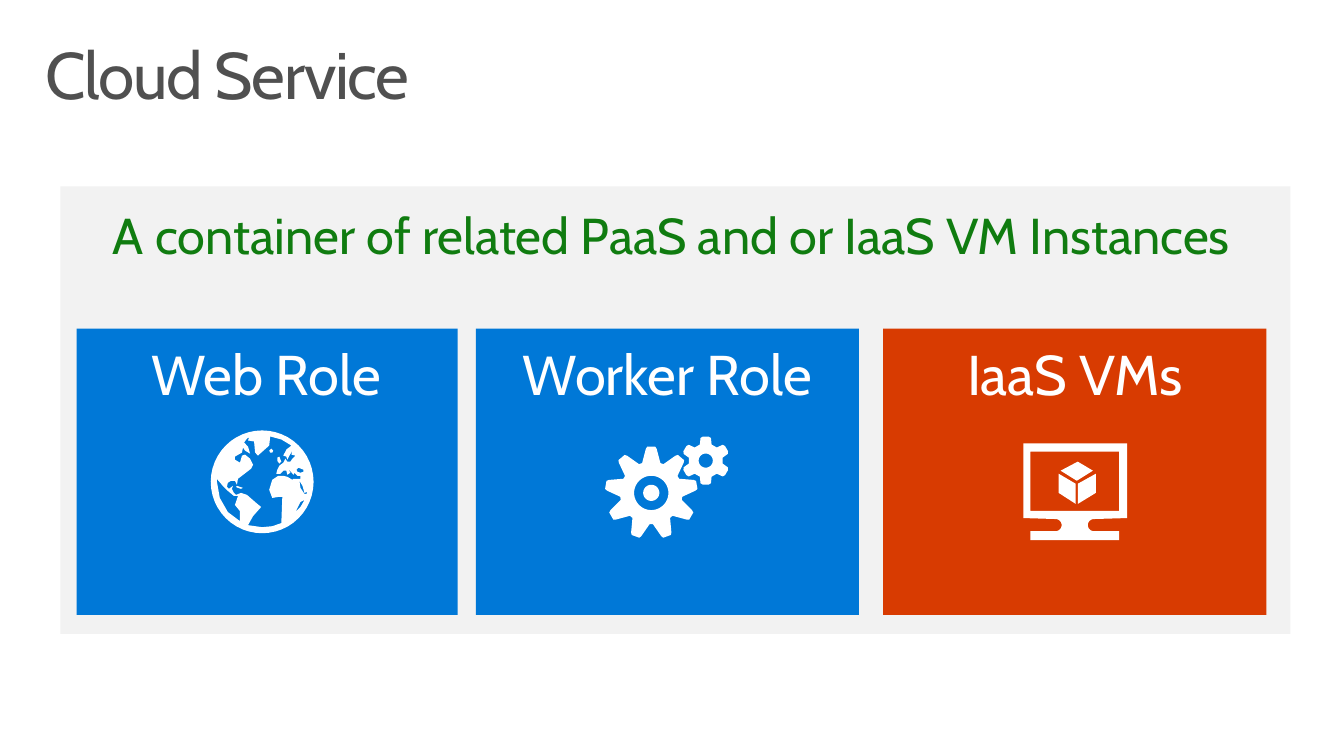
from dataclasses import dataclass
from math import cos, pi, radians, sin

from pptx import Presentation
from pptx.dml.color import RGBColor
from pptx.enum.shapes import MSO_SHAPE
from pptx.enum.text import MSO_ANCHOR, PP_ALIGN
from pptx.shapes.autoshape import Shape
from pptx.shapes.shapetree import GroupShapes, SlideShapes
from pptx.util import Inches, Pt

WHITE = RGBColor(0xFF, 0xFF, 0xFF)
PANEL_GRAY = RGBColor(0xF2, 0xF2, 0xF2)
TITLE_GRAY = RGBColor(0x50, 0x50, 0x50)
GREEN = RGBColor(0x10, 0x7C, 0x10)
BLUE = RGBColor(0x00, 0x78, 0xD7)
ORANGE = RGBColor(0xD8, 0x3B, 0x01)
FONT = "Cabin"

Shapes = SlideShapes | GroupShapes
Point = tuple[float, float]
Contour = list[Point]


def arc(x: float, y: float, radius: float, start: float = 0, end: float = 360) -> Contour:
    """Points on a circle, in degrees clockwise from three o'clock."""
    steps = max(8, round(abs(end - start) / 7.5))
    angles = [radians(start + (end - start) * i / steps) for i in range(steps + 1)]
    return [(x + radius * cos(a), y + radius * sin(a)) for a in angles]


def gear(x: float, y: float, teeth: int, profile: Contour, hole: float) -> list[Contour]:
    """A toothed rim, its tooth given as (degrees off the middle, radius), and a round hole."""
    rim = []
    for tooth in range(teeth):
        for offset, radius in profile:
            angle = 2 * pi * tooth / teeth + radians(offset)
            rim.append((x + radius * sin(angle), y - radius * cos(angle)))
    return [rim, arc(x, y, hole)]


def box_outline(left: float, top: float, right: float, bottom: float) -> Contour:
    return [(left, top), (right, top), (right, bottom), (left, bottom)]


ATLANTIC = [
    (2.79, 5.19), (2.8, 4.93), (2.76, 4.93), (2.7, 4.94), (2.67, 4.86), (2.7, 4.76), (2.76, 4.72),
    (2.81, 4.72), (2.85, 4.73), (2.9, 4.76), (2.91, 4.75), (2.98, 4.75), (2.98, 4.72), (2.95, 4.72),
    (2.92, 4.69), (2.91, 4.71), (2.86, 4.65), (2.88, 4.69), (2.85, 4.71), (2.84, 4.67), (2.81, 4.67),
    (2.78, 4.7), (2.74, 4.7), (2.75, 4.66), (2.77, 4.62), (2.81, 4.59), (2.83, 4.55), (2.85, 4.58),
    (2.88, 4.58), (2.9, 4.55), (2.93, 4.52), (2.89, 4.51), (2.9, 4.47), (2.87, 4.52), (2.85, 4.56),
    (2.84, 4.53), (2.81, 4.52), (2.84, 4.46), (2.89, 4.42), (2.79, 4.36), (2.68, 4.33), (2.67, 4.42),
    (2.58, 4.5), (2.56, 4.52), (2.53, 4.49), (2.52, 4.38), (2.46, 4.37), (2.47, 4.34), (2.45, 4.35),
    (2.42, 4.39), (2.46, 4.43), (2.48, 4.5), (2.43, 4.47), (2.41, 4.44), (2.4, 4.49), (2.33, 4.53),
    (2.33, 4.56), (2.38, 4.59), (2.4, 4.52), (2.43, 4.51), (2.48, 4.55), (2.51, 4.61), (2.49, 4.65),
    (2.36, 4.75), (2.35, 4.81), (2.33, 4.77), (2.29, 4.77), (2.26, 4.79), (2.25, 4.83), (2.27, 4.85),
    (2.31, 4.82), (2.3, 4.85), (2.32, 4.89), (2.34, 4.91), (2.39, 4.89), (2.45, 4.91), (2.53, 4.98),
    (2.59, 5.03), (2.51, 5.12), (2.46, 5.21), (2.6, 5.23), (2.7, 5.22),
]
PACIFIC = [
    (2.38, 5.17), (2.38, 5.07), (2.33, 5.01), (2.35, 4.95), (2.36, 4.92), (2.32, 4.92), (2.26, 4.87),
    (2.21, 4.82), (2.15, 4.75), (2.15, 4.77), (2.18, 4.94), (2.26, 5.08),
]
RED_SEA = [(3.05, 4.88), (3.02, 4.89), (3, 4.82), (2.97, 4.77), (2.98, 4.84), (3.02, 4.9), (3.04, 4.9)]
INDIAN_OCEAN = [(3.02, 4.96), (2.98, 4.98), (2.93, 5.08), (2.98, 5.03)]
ICELAND = [(2.68, 4.49), (2.7, 4.49), (2.71, 4.47), (2.69, 4.45), (2.67, 4.47)]
BRITAIN = [(2.77, 4.53), (2.79, 4.58), (2.77, 4.6), (2.75, 4.57), (2.75, 4.54)]
CASPIAN = [(2.95, 4.68), (2.94, 4.66), (2.96, 4.64), (3.01, 4.66), (3.01, 4.68), (2.98, 4.69)]
CUBA = [(2.35, 4.82), (2.41, 4.84), (2.39, 4.85), (2.36, 4.84), (2.34, 4.83)]
GLOBE = [
    arc(2.6, 4.78, 0.51), ATLANTIC, PACIFIC, RED_SEA, INDIAN_OCEAN, ICELAND, BRITAIN, CASPIAN, CUBA,
]

LARGE_TOOTH = [(-17, 0.31), (-7, 0.44), (-5, 0.46), (5, 0.46), (7, 0.44), (17, 0.31)]
SMALL_TOOTH = [(-20, 0.17), (-13, 0.23), (-7, 0.24), (7, 0.24), (13, 0.23), (20, 0.17)]
LARGE_GEAR = gear(6.46, 4.89, 9, LARGE_TOOTH, 0.17)
GEAR_HUB = [arc(6.46, 4.89, 0.08)]
SMALL_GEAR = gear(7, 4.57, 6, SMALL_TOOTH, 0.07)

MONITOR = [
    [(10.87, 4.7), (10.87, 4.89), (10.69, 5), (10.69, 4.8)],
    [(10.5, 4.7), (10.67, 4.8), (10.67, 5), (10.5, 4.89)],
    [(10.69, 4.58), (10.84, 4.67), (10.68, 4.77), (10.52, 4.67)],
    box_outline(10.22, 4.48, 11.1, 5.07),
    [
        (10.15, 4.4), (11.18, 4.4), (11.18, 5.14), *arc(10.85, 5.21, 0.06, 270, 90),
        (11.1, 5.27), (11.1, 5.36), (10.22, 5.36), (10.22, 5.27),
        *arc(10.47, 5.21, 0.06, 90, -90), (10.15, 5.14),
    ],
]


@dataclass(frozen=True)
class Tile:
    label: str
    left: float
    width: float
    color: RGBColor
    icons: list[list[Contour]]


TILES = [
    Tile("Web Role", 0.76, 3.78, BLUE, [GLOBE]),
    Tile("Worker Role", 4.72, 3.8, BLUE, [LARGE_GEAR, GEAR_HUB, SMALL_GEAR]),
    Tile("IaaS VMs", 8.76, 3.8, ORANGE, [MONITOR]),
]
LABEL_WIDTH = 3.8


def paint(shape: Shape, color: RGBColor) -> None:
    shape.shadow.inherit = False
    shape.fill.solid()
    shape.fill.fore_color.rgb = color
    shape.line.fill.background()


def add_panel(
    shapes: Shapes, left: float, top: float, width: float, height: float, color: RGBColor
) -> None:
    panel = shapes.add_shape(
        MSO_SHAPE.RECTANGLE, Inches(left), Inches(top), Inches(width), Inches(height)
    )
    paint(panel, color)


def add_text(
    shapes: Shapes, text: str, left: float, top: float, width: float, height: float,
    size: float, color: RGBColor, align: PP_ALIGN = PP_ALIGN.CENTER,
    spacing: float = 0.9, margins: Point = (0, 0),
) -> Shape:
    box = shapes.add_textbox(Inches(left), Inches(top), Inches(width), Inches(height))
    frame = box.text_frame
    frame.word_wrap = True
    frame.vertical_anchor = MSO_ANCHOR.TOP
    frame.margin_left = frame.margin_right = Inches(margins[0])
    frame.margin_top = frame.margin_bottom = Inches(margins[1])
    frame.text = text
    para = frame.paragraphs[0]
    para.alignment = align
    para.line_spacing = spacing
    font = para.runs[0].font
    font.name, font.size, font.color.rgb = FONT, Pt(size), color
    return box


def add_icon(shapes: Shapes, contours: list[Contour]) -> None:
    """Draw the contours as one white outline, where inner contours cut holes."""
    outlines = [[(Inches(x), Inches(y)) for x, y in contour] for contour in contours]
    builder = shapes.build_freeform(*outlines[0][0])
    for number, outline in enumerate(outlines):
        if number:
            builder.move_to(*outline[0])
        builder.add_line_segments(outline[1:], close=True)
    paint(builder.convert_to_shape(), WHITE)


def add_tile(shapes: SlideShapes, tile: Tile) -> None:
    members = shapes.add_group_shape().shapes
    add_panel(members, tile.left, 3.26, tile.width, 2.84, tile.color)
    label_left = tile.left + tile.width - LABEL_WIDTH
    add_text(members, tile.label, label_left, 3.44, LABEL_WIDTH, 0.61, 40, WHITE)
    for icon in tile.icons:
        add_icon(members, icon)


def main() -> None:
    deck = Presentation()
    deck.slide_width, deck.slide_height = Inches(13.33), Inches(7.5)
    shapes = deck.slides.add_slide(deck.slide_layouts[6]).shapes

    add_panel(shapes, 0.6, 1.85, 12.2, 4.44, PANEL_GRAY)
    title = add_text(
        shapes, "Cloud Service", 0.29, 0.32, 12.75, 0.98, 47, TITLE_GRAY,
        align=PP_ALIGN.LEFT, margins=(0.16, 0.1),
    )
    title_run = title.text_frame.paragraphs[0].runs[0]
    title_run.font._element.set("spc", "-100")
    add_text(
        shapes, "A container of related PaaS and or IaaS VM Instances",
        0.76, 2.02, 11.8, 0.61, 36, GREEN, spacing=1.0,
    )
    for tile in TILES:
        add_tile(shapes, tile)
    deck.save("out.pptx")


if __name__ == "__main__":
    main()
